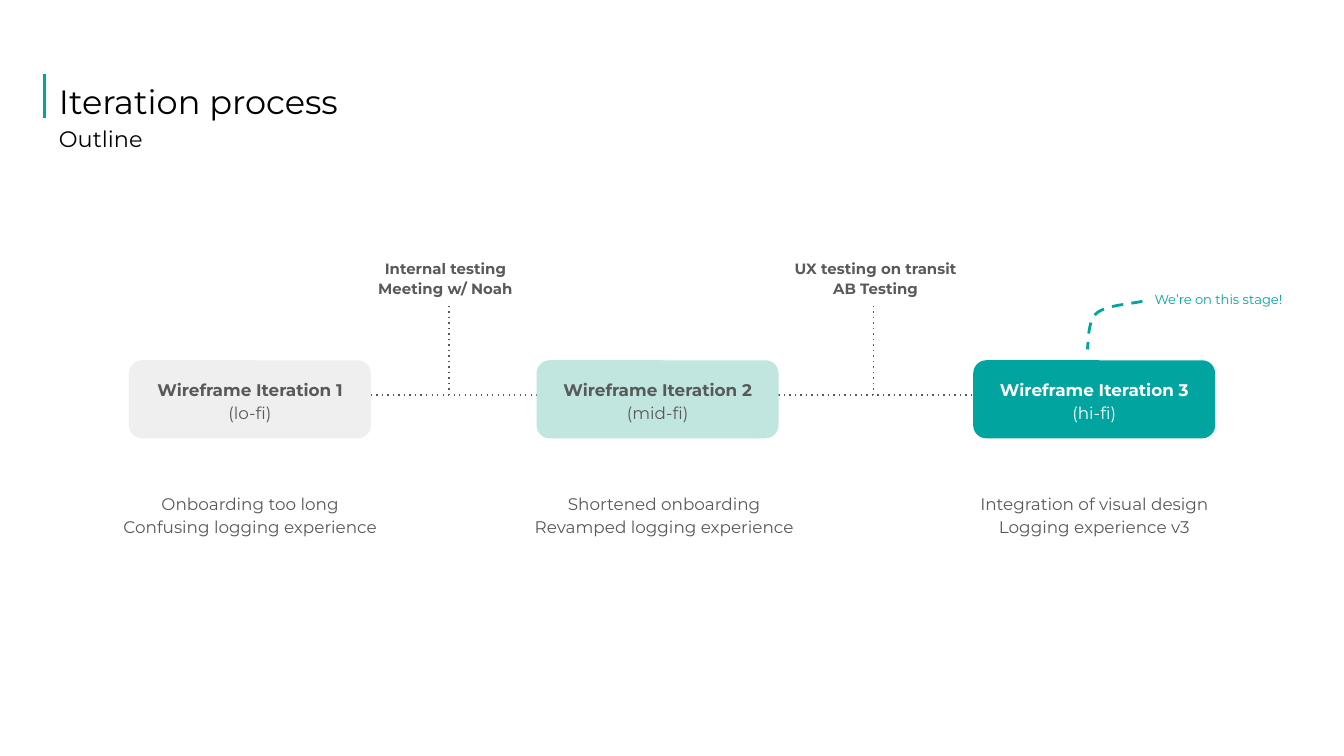
"""Build the iteration process slide: three wireframe stages joined by testing steps."""
from lxml.etree import SubElement
from pptx import Presentation
from pptx.dml.color import RGBColor
from pptx.enum.dml import MSO_LINE
from pptx.enum.shapes import MSO_CONNECTOR, MSO_SHAPE
from pptx.enum.text import MSO_ANCHOR as Anchor, PP_ALIGN as Align
from pptx.oxml.ns import qn
from pptx.util import Pt

COLORS = {"teal": "02A4A0", "mint": "C0E6DF", "pale": "EFEFEF",
          "gray": "595959", "white": "FFFFFF", "black": "000000"}
FONT = "Montserrat"

STAGES = [
    {"center": 133.9, "notes_center": 133.9, "fill": "pale", "color": "gray",
     "name": "Wireframe Iteration 1", "fidelity": "(lo-fi)",
     "notes": ["Onboarding too long", "Confusing logging experience"]},
    {"center": 352.3, "notes_center": 355.7, "fill": "mint", "color": "gray",
     "name": "Wireframe Iteration 2", "fidelity": "(mid-fi)",
     "notes": ["Shortened onboarding", "Revamped logging experience"]},
    {"center": 586.2, "notes_center": 586.2, "fill": "teal", "color": "white",
     "name": "Wireframe Iteration 3", "fidelity": "(hi-fi)",
     "notes": ["Integration of visual design", "Logging experience v3"]},
]
TESTS = [
    {"center": 238.7, "stem": 240.5, "lines": ["Internal testing", "Meeting w/ Noah"]},
    {"center": 469.1, "stem": 468, "lines": ["UX testing on transit", "AB Testing"]},
]
POINTER_START = (612, 161.4)
POINTER_CURVES = [
    ((608.4, 162.6), (592.6, 163.3), (587.5, 167.8)),
    ((582.5, 172.1), (583.2, 183.6), (582.5, 187.2)),
]
CURVE_STEPS = 16
STAGE_WIDTH, STAGE_HEIGHT, STAGE_TOP = 129.6, 41.8, 193
TRACK_Y, STEM_TOP = 211.7, 162


def rgb(name):
    return RGBColor.from_string(COLORS[name])


def write(shape, lines, size, color, align=Align.CENTER, bold=False):
    """Write (text, run overrides) lines as one paragraph with line breaks."""
    frame = shape.text_frame
    frame.word_wrap = True
    frame.vertical_anchor = Anchor.TOP
    frame.margin_left = frame.margin_right = Pt(7.2)
    frame.margin_top = frame.margin_bottom = Pt(7.2)
    paragraph = frame.paragraphs[0]
    paragraph.alignment = align
    paragraph.line_spacing = 1.15
    font = paragraph.font
    font.name, font.size, font.bold = FONT, Pt(size), bold
    font.color.rgb = rgb(color)
    for index, (text, overrides) in enumerate(lines):
        if index:
            paragraph.add_line_break()
        run = paragraph.add_run()
        run.text = text
        for attribute, value in overrides.items():
            setattr(run.font, attribute, value)


def add_text(slide, left, top, width, height, lines, size, color, **style):
    box = slide.shapes.add_textbox(Pt(left), Pt(top), Pt(width), Pt(height))
    write(box, lines, size, color, **style)


def plain(lines):
    return [(line, {}) for line in lines]


def add_line(slide, start, end, color, width, dotted=False):
    line = slide.shapes.add_connector(
        MSO_CONNECTOR.STRAIGHT, *(Pt(value) for value in (*start, *end)))
    line.line.color.rgb = rgb(color)
    line.line.width = Pt(width)
    if dotted:
        line.line.dash_style = MSO_LINE.ROUND_DOT
        line.line._ln.find(qn("a:prstDash")).set("val", "dot")
    SubElement(line._element.spPr, qn("a:effectLst"))


def add_stage(slide, stage):
    box = slide.shapes.add_shape(
        MSO_SHAPE.ROUNDED_RECTANGLE, Pt(stage["center"] - STAGE_WIDTH / 2),
        Pt(STAGE_TOP), Pt(STAGE_WIDTH), Pt(STAGE_HEIGHT))
    box.shadow.inherit = False
    box.fill.solid()
    box.fill.fore_color.rgb = rgb(stage["fill"])
    box.line.fill.background()
    write(box, [(stage["name"], {"bold": True}), (stage["fidelity"], {"bold": False})],
          9, stage["color"])
    box.text_frame.margin_top = Pt(6.6)
    add_text(slide, stage["notes_center"] - 118, 255.6, 236, 59,
             plain(stage["notes"]), 9, "gray")


def bezier(points, t):
    weights = ((1 - t) ** 3, 3 * t * (1 - t) ** 2, 3 * t ** 2 * (1 - t), t ** 3)
    return tuple(Pt(sum(weight * point[axis] for weight, point in zip(weights, points)))
                 for axis in (0, 1))


def add_pointer(slide):
    vertices, start = [], POINTER_START
    for curve in POINTER_CURVES:
        vertices += [bezier((start, *curve), step / CURVE_STEPS)
                     for step in range(1, CURVE_STEPS + 1)]
        start = curve[-1]
    builder = slide.shapes.build_freeform(*(Pt(value) for value in POINTER_START))
    builder.add_line_segments(vertices, close=False)
    pointer = builder.convert_to_shape()
    pointer.shadow.inherit = False
    pointer.fill.background()
    pointer.line.color.rgb = rgb("teal")
    pointer.line.width = Pt(1.5)
    pointer.line.dash_style = MSO_LINE.DASH


def main():
    presentation = Presentation()
    presentation.slide_width, presentation.slide_height = Pt(720), Pt(405)
    slide = presentation.slides.add_slide(presentation.slide_layouts[6])

    add_text(slide, 24.5, 33.1, 671, 67,
             [("Iteration process", {"size": Pt(18)}), ("Outline", {"size": Pt(12)})],
             18, "black", align=Align.LEFT)
    add_line(slide, (23.8, 39.6), (23.8, 63.4), "teal", 1.5)

    add_line(slide, (STAGES[0]["center"], TRACK_Y), (STAGES[-1]["center"], TRACK_Y),
             "gray", 0.75, dotted=True)
    for stage in STAGES:
        add_stage(slide, stage)
    for test in TESTS:
        add_line(slide, (test["stem"], TRACK_Y), (test["stem"], STEM_TOP),
                 "gray", 0.75, dotted=True)
        add_text(slide, test["center"] - 67.3, 130.3, 134.6, 35.3,
                 plain(test["lines"]), 8, "gray", bold=True)

    add_pointer(slide)
    add_text(slide, 590.4, 149.8, 124.6, 35.3, plain(["We’re on this stage!"]), 7, "teal")
    presentation.save("out.pptx")


if __name__ == "__main__":
    main()
